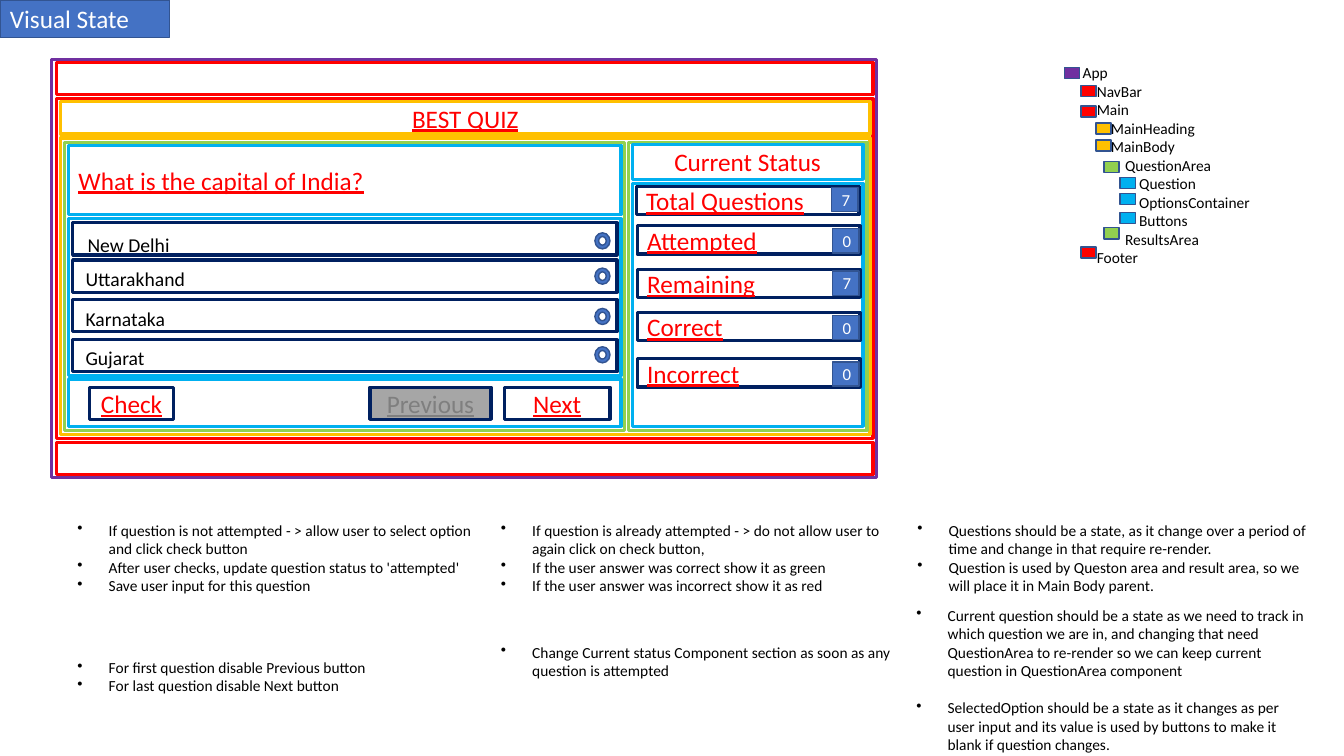
from dataclasses import dataclass

import lxml.etree
import pptx
import pptx.dml.color
import pptx.enum.shapes
import pptx.enum.text
import pptx.oxml.ns
import pptx.util

Inches = pptx.util.Inches
Pt = pptx.util.Pt
SHAPE = pptx.enum.shapes.MSO_SHAPE
ALIGN = pptx.enum.text.PP_ALIGN
ANCHOR = pptx.enum.text.MSO_ANCHOR


@dataclass(frozen=True)
class Theme:
    font: str = "Calibri"
    heading: int = 18
    option: int = 14
    count: int = 12
    note: int = 11
    frame: float = 2.25
    outline: float = 1
    black: str = "000000"
    white: str = "FFFFFF"
    purple: str = "7030A0"
    red: str = "FF0000"
    gold: str = "FFC000"
    green: str = "92D050"
    sky: str = "00B0F0"
    navy: str = "002060"
    blue: str = "4472C4"
    edge: str = "325491"
    disabled: str = "A6A6A6"
    muted: str = "7F7F7F"


T = Theme()
TREE = [
    ("App", 0, T.purple, 0.67),
    ("NavBar", 1, T.red, 0.85),
    ("Main", 1, T.red, 1.05),
    ("MainHeading", 2, T.gold, 1.22),
    ("MainBody", 2, T.gold, 1.39),
    ("QuestionArea", 3, T.green, 1.6),
    ("Question", 4, T.sky, 1.76),
    ("OptionsContainer", 4, T.sky, 1.92),
    ("Buttons", 4, T.sky, 2.11),
    ("ResultsArea", 3, T.green, 2.26),
    ("Footer", 1, T.red, 2.45),
]
SWATCH_LEFT = [10.56, 10.72, 10.87, 10.95, 11.11]
FRAMES = [
    ((0.51, 0.59, 8.18, 4.15), T.purple),
    ((0.56, 0.62, 8.1, 0.32), T.red),
    ((0.56, 0.98, 8.1, 3.37), T.red),
    ((0.56, 4.39, 8.1, 0.32), T.red),
    ((0.6, 1.37, 8.03, 2.94), T.gold),
    ((0.64, 1.41, 5.55, 2.86), T.green),
    ((6.23, 1.41, 2.37, 2.86), T.green),
    ((0.68, 2.17, 5.48, 1.56), T.sky),
    ((0.68, 3.76, 5.48, 0.47), T.sky),
    ((6.27, 1.82, 2.29, 2.41), T.sky),
]
OPTIONS = [
    ("New Delhi", 0.77, 2.26, 2.21, 2.31),
    ("Uttarakhand", 0.75, 2.6, 2.58, 2.66),
    ("Karnataka", 0.75, 3, 2.97, 3.06),
    ("Gujarat", 0.75, 3.38, 3.37, 3.44),
]
STATUS = [
    ("Total Questions", "7", 6.31, 1.85, 1.86),
    ("Attempted", "0", 6.32, 2.24, 2.27),
    ("Remaining", "7", 6.32, 2.67, 2.69),
    ("Correct", "0", 6.32, 3.1, 3.13),
    ("Incorrect", "0", 6.32, 3.56, 3.59),
]
NOTES = [
    ((0.67, 5.12, 4.19, 1.14), 0, [
        "If question is not attempted - > allow user to select option and click check button",
        "After user checks,\u00a0update question status to 'attempted'",
        "Save user input for this question"]),
    ((4.87, 5.12, 4.19, 1.14), 0, [
        "If question is already attempted - > do not allow user to again click on check button,",
        "If the user answer was correct show it as green",
        "If the user answer was incorrect show it as red"]),
    ((0.67, 6.48, 4.19, 0.77), 0, [
        "For first question disable Previous button",
        "For last question disable Next button"]),
    ((4.87, 6.33, 4.19, 0.77), 0, [
        "Change Current status Component section as soon as any question is attempted"]),
    ((9, 5.12, 4.19, 1.14), 0, [
        "Questions should be a state, as it change over a period of time and change in that "
        "require re-render.",
        "Question\u00a0is used by\u00a0Queston area and result area,\u00a0so we will place it "
        "in\u00a0Main Body parent."]),
    ((8.99, 5.96, 4.09, 1.54), 13.4, [
        "Current question should be a state as we need to track in which question we are in, "
        "and changing that need QuestionArea to re-render so we can keep current question in "
        "QuestionArea component",
        "SelectedOption should be a state as it changes as per user input and its value is used "
        "by buttons to make it blank if question changes."]),
]


def rgb(color):
    return pptx.dml.color.RGBColor.from_string(color)


def write(p, text, size=T.heading, color=T.red, underline=False, align=ALIGN.LEFT,
          indent=0, bullet=False, gap=0):
    p.alignment = align
    p.space_before = Pt(gap)
    r = p.add_run()
    r.text = text
    r.font.name = T.font
    r.font.size = Pt(size)
    r.font.underline = underline
    r.font.color.rgb = rgb(color)
    if indent:
        props = p._p.get_or_add_pPr()
        props.set("marL", str(Inches(indent)))
        if bullet:
            props.set("indent", str(-Inches(indent)))
            mark = lxml.etree.SubElement(props, pptx.oxml.ns.qn("a:buChar"))
            mark.set("char", "\u2022")


def add_box(s, at, line, fill=None, width=T.frame, kind=SHAPE.RECTANGLE, text=None, **fmt):
    sp = s.shapes.add_shape(kind, *map(Inches, at))
    sp.shadow.inherit = False
    if fill:
        sp.fill.solid()
        sp.fill.fore_color.rgb = rgb(fill)
    else:
        sp.fill.background()
    sp.line.color.rgb = rgb(line)
    sp.line.width = Pt(width)
    if text:
        tf = sp.text_frame
        tf.word_wrap = True
        tf.vertical_anchor = ANCHOR.MIDDLE
        write(tf.paragraphs[0], text, **fmt)


def add_chip(s, at, fill=T.blue, **fmt):
    add_box(s, at, T.edge, fill, T.outline, **fmt)


def add_text(s, at, lines):
    tf = s.shapes.add_textbox(*map(Inches, at)).text_frame
    tf.word_wrap = True
    for i, (text, fmt) in enumerate(lines):
        p = tf.add_paragraph() if i else tf.paragraphs[0]
        write(p, text, color=T.black, **fmt)


def add_tree(s):
    add_text(s, (10.64, 0.58, 2.34, 2.14),
             [(name, dict(size=T.note, indent=level * 0.14)) for name, level, _, _ in TREE])
    for _, level, color, top in TREE:
        add_chip(s, (SWATCH_LEFT[level], top, 0.15, 0.11), color)


def add_quiz(s):
    for at, color in FRAMES:
        add_box(s, at, color)
    link = dict(underline=True)
    centered = dict(align=ALIGN.CENTER)
    add_box(s, (0.6, 1.01, 8.03, 0.32), T.gold, text="BEST QUIZ", **link, **centered)
    add_box(s, (0.68, 1.44, 5.48, 0.69), T.sky, text="What is the capital of India?", **link)
    add_box(s, (6.27, 1.43, 2.29, 0.35), T.sky, text="Current Status", **centered)
    for name, left, top, row_top, radio_top in OPTIONS:
        add_box(s, (0.72, row_top, 5.4, 0.32), T.navy)
        add_text(s, (left, top, 4.78, 0.29), [(name, dict(size=T.option))])
        add_chip(s, (5.9, radio_top, 0.15, 0.16), kind=SHAPE.DONUT)
    for name, left, width, fill, color in [("Check", 0.89, 0.83, None, T.red),
                                           ("Previous", 3.67, 1.2, T.disabled, T.muted),
                                           ("Next", 5, 1.05, None, T.red)]:
        add_box(s, (left, 3.84, width, 0.32), T.navy, fill,
                text=name, color=color, **link, **centered)
    for name, count, left, top, count_top in STATUS:
        add_box(s, (left, top, 2.21, 0.28), T.navy, text=name, **link)
        add_chip(s, (left + 1.94, count_top, 0.26, 0.24),
                 text=count, size=T.count, color=T.white, **centered)


def add_notes(s):
    for at, gap, lines in NOTES:
        add_text(s, at, [(text, dict(size=T.note, indent=0.31, bullet=True, gap=gap if i else 0))
                         for i, text in enumerate(lines)])


def main():
    prs = pptx.Presentation()
    prs.slide_width = Inches(13.33)
    prs.slide_height = Inches(7.5)
    s = prs.slides.add_slide(prs.slide_layouts[6])
    add_tree(s)
    add_quiz(s)
    add_chip(s, (0, 0, 1.68, 0.37), text="Visual State", color=T.white)
    add_notes(s)
    prs.save("out.pptx")


main()
